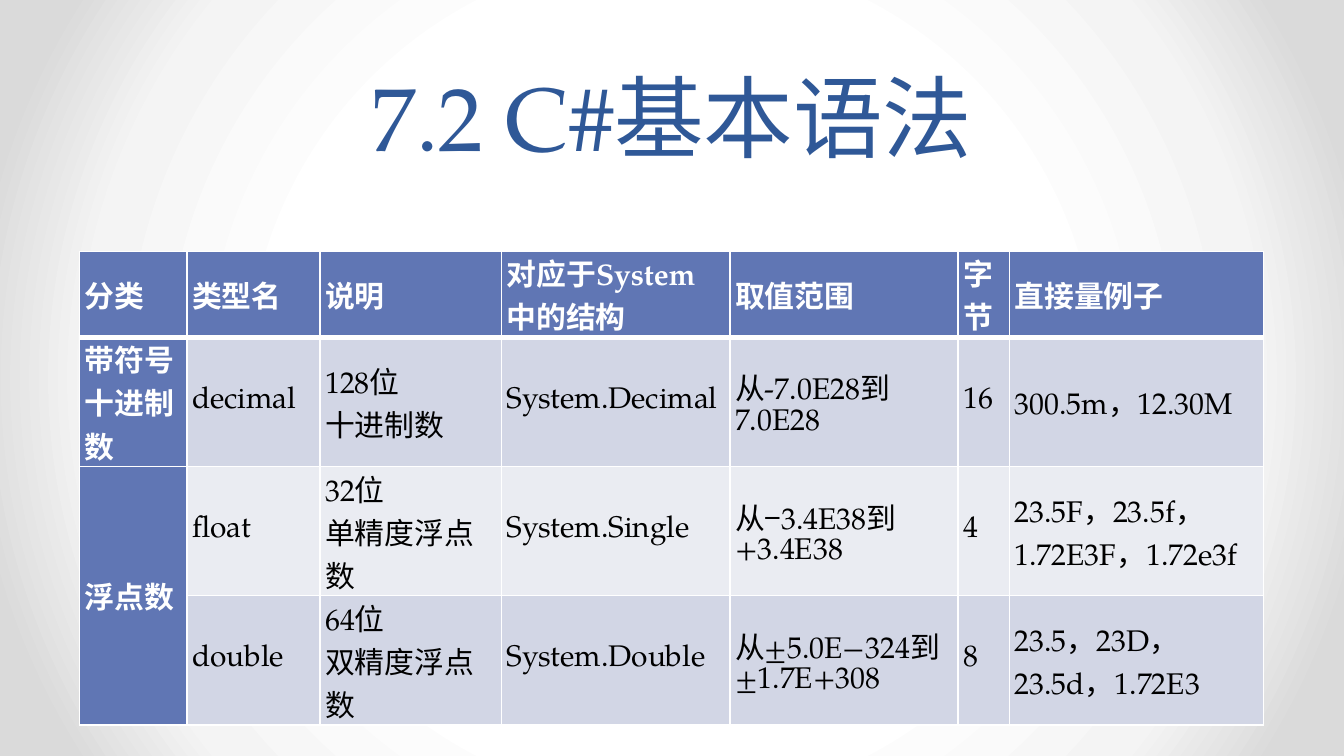
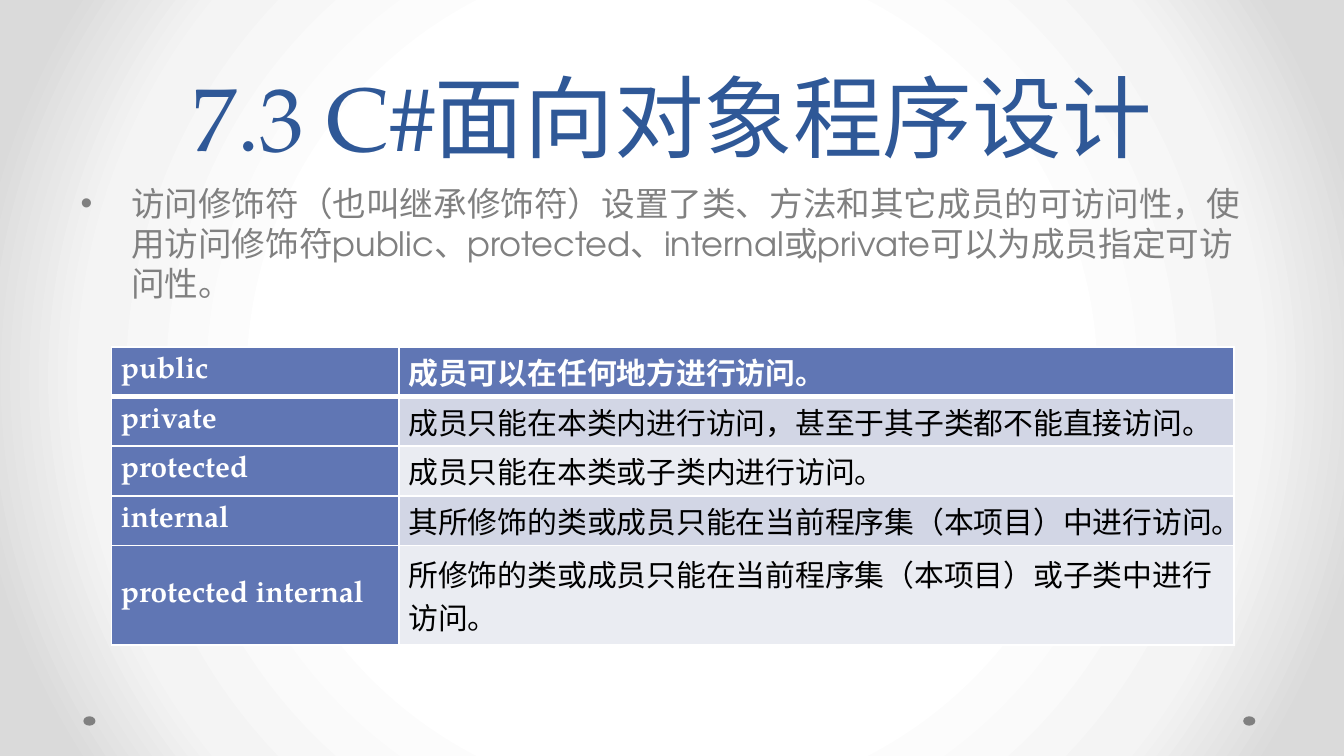
from pptx import Presentation
from pptx.dml.color import RGBColor
from pptx.enum import shapes, text
from pptx.oxml import parse_xml
from pptx.oxml.ns import nsdecls, qn
from pptx.util import Inches, Pt

INK = {
    "title": "2F5897", "grey": "808080", "head": "6076B4", "odd": "D2D6E5",
    "even": "EAECF2", "white": "FFFFFF", "black": "000000",
}
GLOW = [(50, "FFFFFF"), (76, "F4F4F4"), (92, "DADADA")]
SERIF, SANS = "TeX Gyre Pagella", "TeX Gyre Adventor"

TYPES = {
    "at": (0.59, 1.87, 8.82, 2.93),
    "cols": [0.8, 0.99, 1.35, 1.7, 1.7, 0.38, 1.89],
    "rows": [0.2, 0.39, 0.39, 0.39],
    "inset": 0.04,
    "merge": [(2, 0, 3, 0)],
    "cells": [
        ["分类", "类型名", "说明", "对应于System中的结构", "取值范围", "字节", "直接量例子"],
        ["带符号十进制数", "decimal", "128位\n十进制数", "System.Decimal",
         "从-7.0E28到7.0E28", "16", "300.5m，12.30M"],
        ["浮点数", "float", "32位\n单精度浮点数", "System.Single",
         "从−3.4E38到+3.4E38", "4", "23.5F，23.5f，1.72E3F，1.72e3f"],
        ["", "double", "64位\n双精度浮点数", "System.Double",
         "从±5.0E−324到±1.7E+308", "8", "23.5，23D，23.5d，1.72E3"],
    ],
}
ACCESS = {
    "at": (0.83, 2.58, 8.35, 2.21),
    "cols": [2.14, 6.21],
    "rows": [0.37, 0.37, 0.37, 0.37, 0.74],
    "inset": 0.07,
    "merge": [],
    "cells": [
        ["public", "成员可以在任何地方进行访问。"],
        ["private", "成员只能在本类内进行访问，甚至于其子类都不能直接访问。"],
        ["protected", "成员只能在本类或子类内进行访问。"],
        ["internal", "其所修饰的类或成员只能在当前程序集（本项目）中进行访问。"],
        ["protected internal", "所修饰的类或成员只能在当前程序集（本项目）或子类中进行访问。"],
    ],
}
SLIDES = [
    ("7.2 C#基本语法", None, TYPES),
    ("7.3 C#面向对象程序设计",
     "访问修饰符（也叫继承修饰符）设置了类、方法和其它成员的可访问性，"
     "使用访问修饰符public、protected、internal或private可以为成员指定可访问性。",
     ACCESS),
]


def tint(name):
    return RGBColor.from_string(INK[name])


def place(shape, *box):
    shape.left, shape.top, shape.width, shape.height = map(Inches, box)


def style(para, face, size, color, bold=None):
    font = para.font
    font.name, font.size, font.bold = face, Pt(size), bold
    font.color.rgb = tint(color)


def paint(master):
    """Give the master its radial glow."""
    master.background.fill.solid()
    back = next(master.element.iter(qn("p:bgPr")))
    stops = "".join(f'<a:gs pos="{pos * 1000}"><a:srgbClr val="{hue}"/></a:gs>'
                    for pos, hue in GLOW)
    back.replace(back[0], parse_xml(
        f'<a:gradFill {nsdecls("a")}><a:gsLst>{stops}</a:gsLst><a:path path="circle">'
        '<a:fillToRect l="50000" t="50000" r="50000" b="50000"/></a:path></a:gradFill>'))


def add_dots(slide, master):
    """Draw the footer dots and move them to the master."""
    for num, left in enumerate((9.25, 0.62), 101):
        dot = slide.shapes.add_shape(
            shapes.MSO_SHAPE.OVAL, *map(Inches, (left, 5.33, 0.09, 0.07)))
        dot.shadow.inherit = False
        dot.fill.solid()
        dot.fill.fore_color.rgb = tint("grey")
        dot.line.fill.background()
        next(dot.element.iter(qn("p:cNvPr"))).set("id", str(num))
        master.shapes.element.append(dot.element)


def edge(props, row):
    """Rule a cell in white, thicker below the header row."""
    sides = {"L": 1, "R": 1, "T": 3 if row == 1 else 1, "B": 3 if row == 0 else 1}
    for spot, (side, width) in enumerate(sides.items()):
        props.insert(spot, parse_xml(
            f'<a:ln{side} {nsdecls("a")} w="{Pt(width)}"><a:solidFill>'
            f'<a:srgbClr val="{INK["white"]}"/></a:solidFill></a:ln{side}>'))


def add_grid(slide, data):
    cells = data["cells"]
    frame = slide.shapes.add_table(
        len(cells), len(cells[0]), *map(Inches, data["at"]))
    table = frame.table
    table.first_col = True
    for col, width in zip(table.columns, data["cols"]):
        col.width = Inches(width)
    for row, height in zip(table.rows, data["rows"]):
        row.height = Inches(height)
    frame.height = Inches(data["at"][3])
    for r, words in enumerate(cells):
        for c, word in enumerate(words):
            cell, head = table.cell(r, c), r == 0 or c == 0
            cell.text = word
            cell.vertical_anchor = text.MSO_ANCHOR.MIDDLE
            cell.margin_left = cell.margin_right = Inches(data["inset"])
            cell.margin_top = cell.margin_bottom = 0
            cell.fill.solid()
            cell.fill.fore_color.rgb = tint("head" if head else "odd" if r % 2 else "even")
            for para in cell.text_frame.paragraphs:
                style(para, SERIF, 16, "white" if head else "black", head)
    for spot, props in enumerate(frame.element.iter(qn("a:tcPr"))):
        edge(props, spot // len(cells[0]))
    for top, left, low, right in data["merge"]:
        table.cell(top, left).merge(table.cell(low, right))


def add_title(slide, words):
    title = slide.shapes.title
    place(title, 0.5, 0, 9, 1.31)
    title.text_frame.text = words
    title.text_frame.vertical_anchor = text.MSO_ANCHOR.BOTTOM
    para = title.text_frame.paragraphs[0]
    para.alignment = text.PP_ALIGN.CENTER
    para.line_spacing = Pt(58)
    style(para, SERIF, 48, "title")


def add_body(slide, words):
    body = slide.placeholders[1]
    place(body, 0.5, 1.31, 9, 3.71)
    body.text_frame.text = words
    para = body.text_frame.paragraphs[0]
    para.line_spacing = Pt(21.6)
    style(para, SANS, 18, "grey")


def main():
    deck = Presentation()
    deck.slide_width = Inches(10)
    deck.slide_height = deck.slide_width * 9 // 16
    master = deck.slide_master
    paint(master)
    for title, body, data in SLIDES:
        slide = deck.slides.add_slide(deck.slide_layouts[1 if body else 5])
        add_title(slide, title)
        if body:
            add_body(slide, body)
        add_grid(slide, data)
    add_dots(deck.slides[0], master)
    deck.save("out.pptx")


if __name__ == "__main__":
    main()
